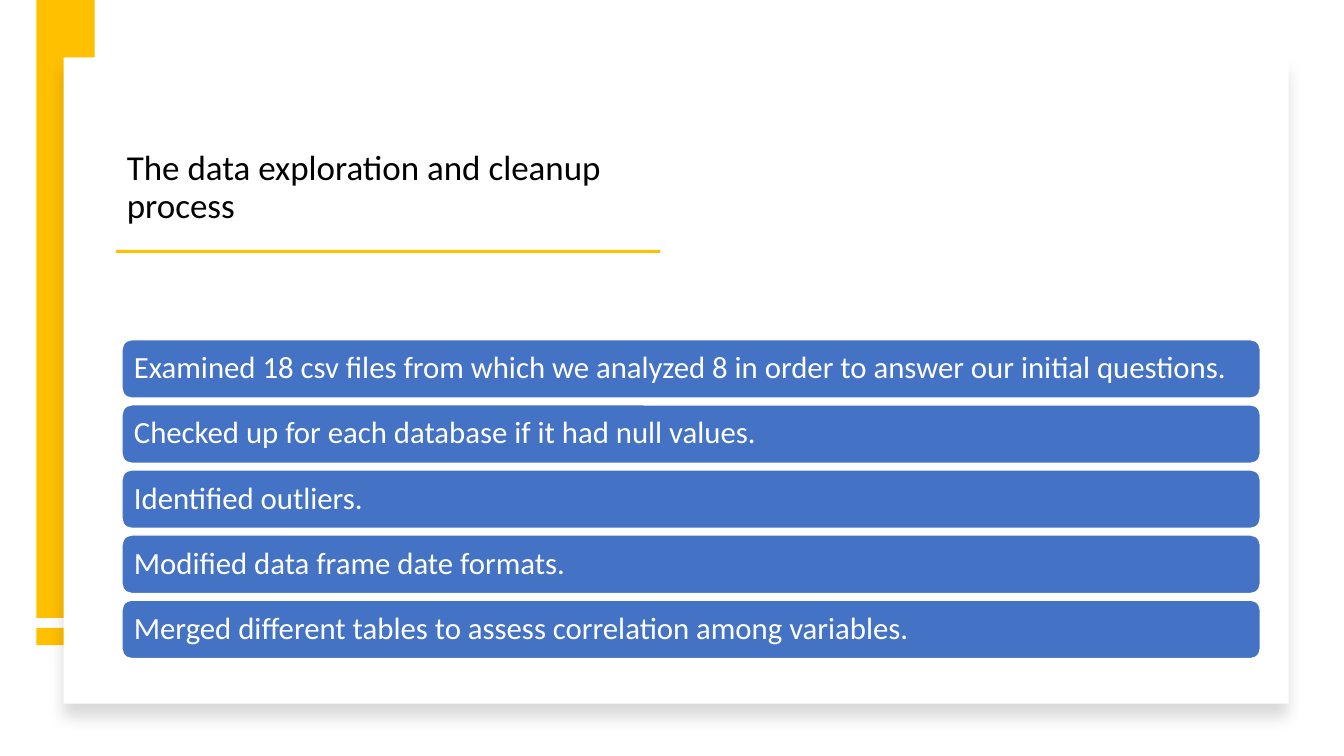
"""Builds the slide on the data exploration and cleanup process."""
from lxml import etree
from pptx import Presentation
from pptx.dml.color import RGBColor
from pptx.enum.shapes import MSO_SHAPE
from pptx.enum.text import MSO_ANCHOR, PP_ALIGN
from pptx.oxml.ns import qn
from pptx.util import Pt

PX = 9144
RECT = MSO_SHAPE.RECTANGLE
ROUNDED = MSO_SHAPE.ROUNDED_RECTANGLE
MIDDLE = MSO_ANCHOR.MIDDLE
BOTTOM = MSO_ANCHOR.BOTTOM
LEFT = PP_ALIGN.LEFT
GOLD = RGBColor(0xFF, 0xC0, 0x00)
BLUE = RGBColor(0x44, 0x72, 0xC4)
WHITE = RGBColor(0xFF, 0xFF, 0xFF)
BLACK = RGBColor(0x00, 0x00, 0x00)

STEPS = [
    "Examined 18 csv files from which we analyzed 8 in order to answer our initial questions.",
    "Checked up for each database if it had null values.",
    "Identified outliers.",
    "Modified data frame date formats.",
    "Merged different tables to assess correlation among variables.",
]
STEP_TOP, STEP_PITCH = 337, 64.6


def add_block(kind, left, top, width, height, color):
    box = page.shapes.add_shape(
        kind, *(round(value * PX) for value in (left, top, width, height)))
    box.shadow.inherit = False
    box.fill.solid()
    box.fill.fore_color.rgb = color
    box.line.fill.background()
    return box


def write_text(box, text, size, color, anchor):
    frame = box.text_frame
    frame.word_wrap = True
    frame.vertical_anchor = anchor
    para = frame.paragraphs[0]
    para.alignment = LEFT
    para.line_spacing = 0.9
    span = para.add_run()
    span.text = text
    span.font.name = "Calibri"
    span.font.size = Pt(size)
    span.font.color.rgb = color


deck = Presentation()
deck.slide_width = 1333 * PX
deck.slide_height = 750 * PX
page = deck.slides.add_slide(deck.slide_layouts[6])

add_block(RECT, 36, 623, 58, 17, GOLD)
add_block(RECT, 36, 0, 58, 613, GOLD)

card = add_block(RECT, 63, 57, 1215, 641, WHITE)
effects = card._element.spPr.find(qn("a:effectLst"))
shadow = etree.SubElement(effects, qn("a:outerShdw"), blurRad=str(Pt(11)),
                          dist=str(Pt(10)), dir="5400000", algn="t", rotWithShape="0")
shade = etree.SubElement(shadow, qn("a:srgbClr"), val=str(BLACK))
etree.SubElement(shade, qn("a:alpha"), val="15000")

title = page.shapes.add_textbox(116 * PX, 101 * PX, 551 * PX, 128 * PX)
write_text(title, "The data exploration and cleanup process", 25, BLACK, BOTTOM)
add_block(RECT, 115, 248, 540, 3, GOLD)

for index, step in enumerate(STEPS):
    bar = add_block(ROUNDED, 121, STEP_TOP + index * STEP_PITCH, 1129, 58, BLUE)
    bar.line.color.rgb = WHITE
    bar.line.width = Pt(1)
    bar.text_frame.margin_left = bar.text_frame.margin_right = 9 * PX
    write_text(bar, step, 22, WHITE, MIDDLE)

deck.save("out.pptx")
